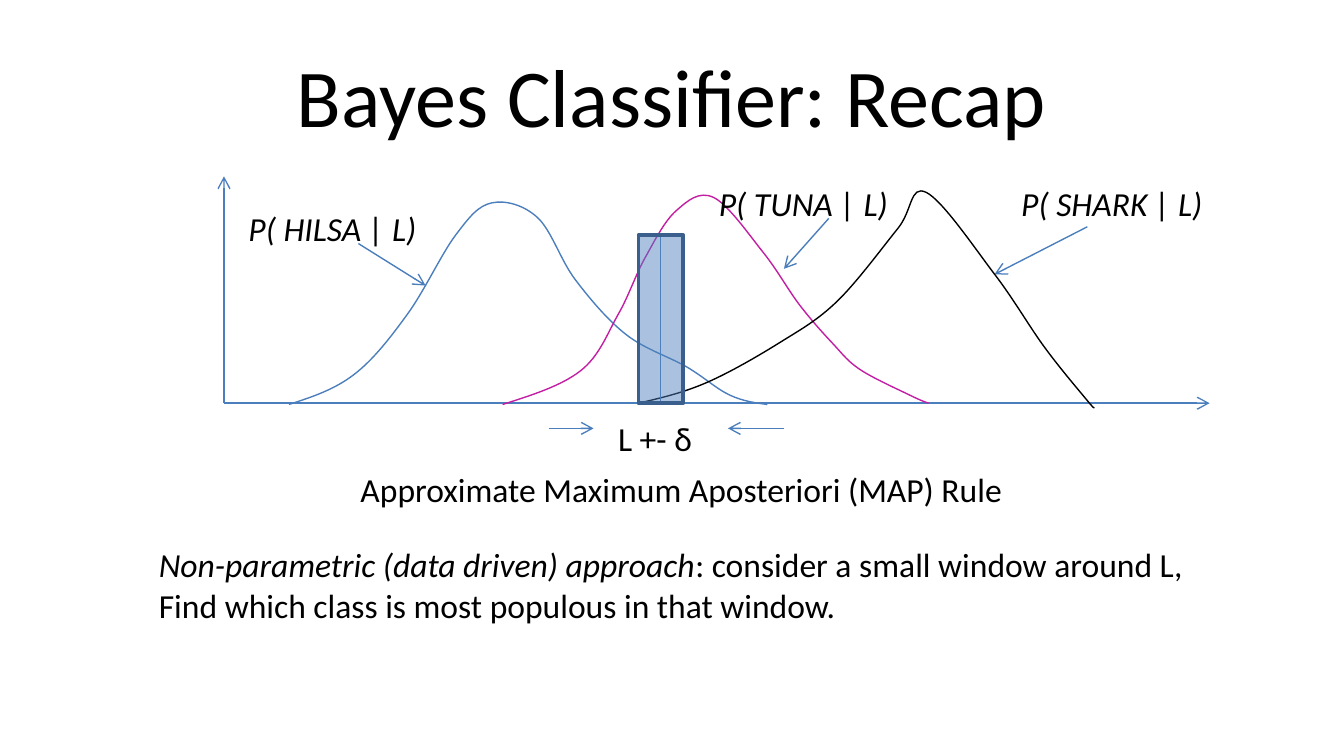
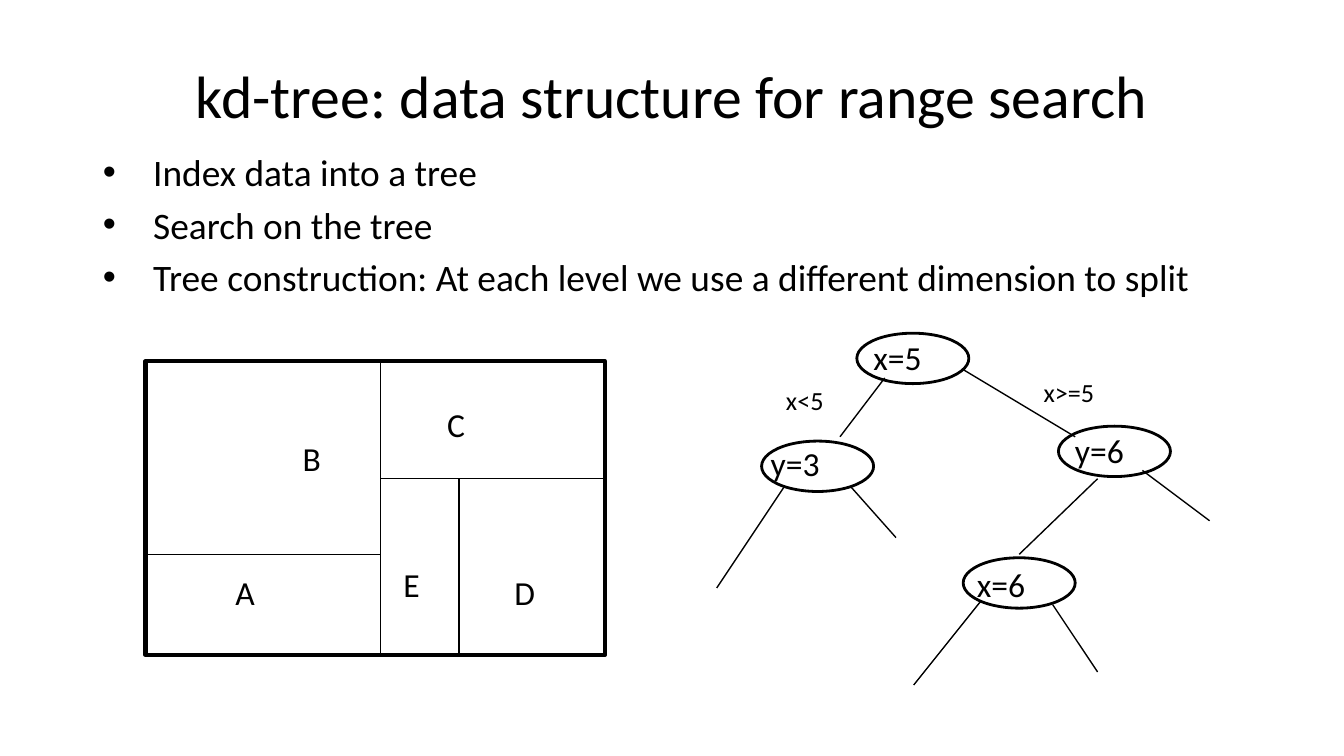
from lxml import etree
from pptx import Presentation
from pptx.dml.color import RGBColor
from pptx.enum.shapes import MSO_CONNECTOR, MSO_SHAPE
from pptx.enum.text import MSO_ANCHOR, MSO_AUTO_SIZE, PP_ALIGN
from pptx.oxml.ns import qn
from pptx.util import Pt

STRAIGHT = MSO_CONNECTOR.STRAIGHT
RECTANGLE = MSO_SHAPE.RECTANGLE
OVAL = MSO_SHAPE.OVAL
MIDDLE = MSO_ANCHOR.MIDDLE
GROW = MSO_AUTO_SIZE.SHAPE_TO_FIT_TEXT
CENTER = PP_ALIGN.CENTER

FONT = "Calibri"
BLANK_LAYOUT = 6
COLORS = {
    "ink": "000000",
    "line": "4B7EBC",
    "tuna": "C31DA3",
    "window": "4F81BD",
    "window_edge": "3A5F8C",
}
TOP, BOTTOM = 0, 2

HILSA = [(154.8, 216.7), (189.4, 200.9), (218.2, 168.5), (244.1, 126),
         (263.5, 108.7), (288, 116.6), (308.2, 149.8), (335.5, 179.3),
         (367.9, 196.6), (391, 211.7), (411.1, 216.7)]
TUNA = [(269.3, 216.7), (311, 198.7), (331.2, 168.5), (345.6, 138.2),
        (362.2, 113), (382.3, 105.8), (409, 135.4), (428.4, 163.4),
        (446.4, 184.3), (460.8, 198), (487.4, 211.7), (497.5, 216)]
SHARK = [(342, 216), (378, 205.2), (417.6, 183.6), (448.6, 161.3),
         (481, 122.4), (496.1, 103), (532.8, 146.9), (559.4, 185.8),
         (581.8, 213.8), (586.1, 218.2)]


def rgb(name):
    return RGBColor.from_string(COLORS[name])


def style_font(font, size, italic=None):
    font.name = FONT
    font.size = Pt(size)
    font.color.rgb = rgb("ink")
    font.italic = italic


def style_line(shape, color, width):
    shape.line.color.rgb = rgb(color)
    shape.line.width = Pt(width)


def add_box(slide, left, top, width, height):
    return slide.shapes.add_textbox(Pt(left), Pt(top), Pt(width), Pt(height))


def add_title(slide, text, size):
    frame = add_box(slide, 36, 16.87, 648, 67.5).text_frame
    frame.word_wrap = True
    frame.vertical_anchor = MIDDLE
    title = frame.paragraphs[0]
    title.text = text
    title.alignment = CENTER
    style_font(title.font, size)


def add_label(slide, text, left, top, width, size=18, italic=None):
    frame = add_box(slide, left, top, width, size * 1.2 + 7.2).text_frame
    frame.word_wrap = False
    frame.auto_size = GROW
    label = frame.paragraphs[0]
    label.text = text
    style_font(label.font, size, italic)
    return frame


def add_bullets(slide, items, left, top, width, height, size=20, indent=27):
    frame = add_box(slide, left, top, width, height).text_frame
    frame.word_wrap = True
    for index, item in enumerate(items):
        bullet = frame.add_paragraph() if index else frame.paragraphs[0]
        bullet.text = item
        bullet.space_before = Pt(size * 0.2)
        style_font(bullet.font, size)
        properties = bullet._p.get_or_add_pPr()
        properties.set("marL", str(Pt(indent)))
        properties.set("indent", str(-Pt(indent)))
        typeface = etree.Element(qn("a:buFont"), typeface="Arial")
        mark = etree.Element(qn("a:buChar"), char="•")
        properties.find(qn("a:spcBef")).addnext(typeface)
        typeface.addnext(mark)


def add_line(slide, start, end, color="ink", arrow=False):
    line = slide.shapes.add_connector(STRAIGHT, *map(Pt, start + end))
    style_line(line, color, 0.75)
    if arrow:
        etree.SubElement(line.line._get_or_add_ln(), qn("a:tailEnd"), type="arrow")
    etree.SubElement(line._element.spPr, qn("a:effectLst"))
    return line


def add_outline(slide, kind, left, top, width, height, color, weight):
    shape = slide.shapes.add_shape(kind, Pt(left), Pt(top), Pt(width), Pt(height))
    shape.shadow.inherit = False
    shape.fill.background()
    style_line(shape, color, weight)
    return shape


def spline_points(anchors):
    handles = []
    for before, here, after in zip(anchors, anchors[1:], anchors[2:]):
        steps = [(b - a) / 6 for a, b in zip(before, after)]
        handles.append([tuple(h - s for h, s in zip(here, steps)), here,
                        tuple(h + s for h, s in zip(here, steps))])
    first = midpoint(anchors[0], handles[0][0])
    last = midpoint(anchors[-1], handles[-1][2])
    return [first, *(point for trio in handles for point in trio), last, anchors[-1]]


def midpoint(a, b):
    return tuple((p + q) / 2 for p, q in zip(a, b))


def add_density(slide, anchors, color):
    points = [tuple(map(Pt, point)) for point in spline_points(anchors)]
    builder = slide.shapes.build_freeform(*map(Pt, anchors[0]))
    builder.add_line_segments(points, close=False)
    density = builder.convert_to_shape()
    outline = density._element.spPr.find(".//" + qn("a:path"))
    segments = outline.findall(qn("a:lnTo"))
    for start in range(0, len(segments), 3):
        curve = etree.SubElement(outline, qn("a:cubicBezTo"))
        for segment in segments[start:start + 3]:
            curve.append(segment[0])
            outline.remove(segment)
    density.shadow.inherit = False
    density.fill.background()
    style_line(density, color, 0.75)


def add_window(slide):
    marker = add_line(slide, (354, 216), (354, 126), "line")
    window = add_outline(slide, RECTANGLE, 342, 126, 24, 90, "window_edge", 2)
    window.fill.solid()
    window.fill.fore_color.rgb = rgb("window")
    tint = window._element.spPr.find(qn("a:solidFill"))[0]
    etree.SubElement(tint, qn("a:alpha"), val="48000")
    marker.begin_connect(window, BOTTOM)
    marker.end_connect(window, TOP)


def build_recap(slide):
    add_title(slide, "Bayes Classifier: Recap", 44)
    origin = (120, 216)
    arrows = [
        (origin, (648, 216)),
        (origin, (120, 94.5)),
        ((192, 130.5), (228, 153)),
        ((444, 117), (420, 144)),
        ((582.5, 121.5), (532.8, 147)),
        ((294, 229.5), (318, 229.5)),
        ((420, 229.5), (390, 229.5)),
    ]
    for start, end in arrows:
        add_line(slide, start, end, "line", arrow=True)
    for anchors, color in ((HILSA, "line"), (TUNA, "tuna"), (SHARK, "ink")):
        add_density(slide, anchors, color)
    classes = [
        ("HILSA", 126, 108, 106),
        ("TUNA", 378, 94.5, 106),
        ("SHARK", 540, 94.5, 113),
    ]
    for name, left, top, width in classes:
        add_label(slide, f"P( {name} | L)", left, top, width, italic=True)
    add_window(slide)
    add_label(slide, "L +- δ", 324, 220.5, 54)
    add_label(slide, "Approximate Maximum Aposteriori (MAP) Rule", 186, 247.5, 362)

    approach = add_box(slide, 78, 288, 569.5, 51).text_frame
    approach.word_wrap = False
    approach.auto_size = GROW
    idea = approach.paragraphs[0]
    style_font(idea.font, 18)
    lead = idea.add_run()
    lead.text = "Non-parametric (data driven) approach"
    style_font(lead.font, 18, True)
    rest = idea.add_run()
    rest.text = ": consider a small window around L,"
    style_font(rest.font, 18)
    decision = approach.add_paragraph()
    decision.text = "Find which class is most populous in that window."
    style_font(decision.font, 18)


def build_kd_tree(slide):
    add_title(slide, "kd-tree: data structure for range search", 32)
    add_bullets(slide, [
        "Index data into a tree",
        "Search on the tree",
        "Tree construction: At each level we use a different dimension to split",
    ], 48, 76.5, 648, 267)

    left, top, right, bottom = 78, 193.5, 324, 351
    split_x, split_y = 204, 256.5
    add_outline(slide, RECTANGLE, left, top, right - left, bottom - top, "ink", 2.25)
    splits = [
        ((split_x, top), (split_x, bottom)),
        ((left, 297), (split_x, 297)),
        ((split_x, split_y), (right, split_y)),
        ((246, split_y), (246, bottom)),
    ]
    regions = [("A", 119, 303), ("B", 155, 231), ("C", 232.5, 213),
               ("D", 268.5, 303), ("E", 209, 298.8)]
    for name, x, y in regions:
        add_label(slide, name, x, y, 25)

    nodes = [
        ("x=5", 459, 178.5, 460.8, 177.1),
        ("y=3", 408, 236.3, 405.8, 234),
        ("y=6", 567, 228.3, 568.8, 226.8),
        ("x=6", 516, 298.8, 516.2, 298.8),
    ]
    for test, x, y, label_x, label_y in nodes:
        add_label(slide, test, label_x, label_y, 40.5)
        add_outline(slide, OVAL, x, y, 60, 27, "ink", 1.5)
    branches = [
        ((474, 202.5), (450, 234)),
        ((516, 198), (576, 234)),
        ((612, 252), (648, 279)),
        ((588, 256.5), (546, 297)),
        ((420, 261), (384, 315)),
        ((456, 261), (480, 288)),
        ((525.5, 322), (489.5, 367)),
        ((564, 324), (588, 360)),
    ]
    for start, end in splits + branches:
        add_line(slide, start, end)
    add_label(slide, "x<5", 414, 202.5, 35.5, size=14)
    add_label(slide, "x>=5", 552, 198, 41.5, size=14)


def main():
    deck = Presentation()
    deck.slide_width = Pt(720)
    deck.slide_height = Pt(405)
    for build in (build_recap, build_kd_tree):
        build(deck.slides.add_slide(deck.slide_layouts[BLANK_LAYOUT]))
    deck.save("out.pptx")


if __name__ == "__main__":
    main()
